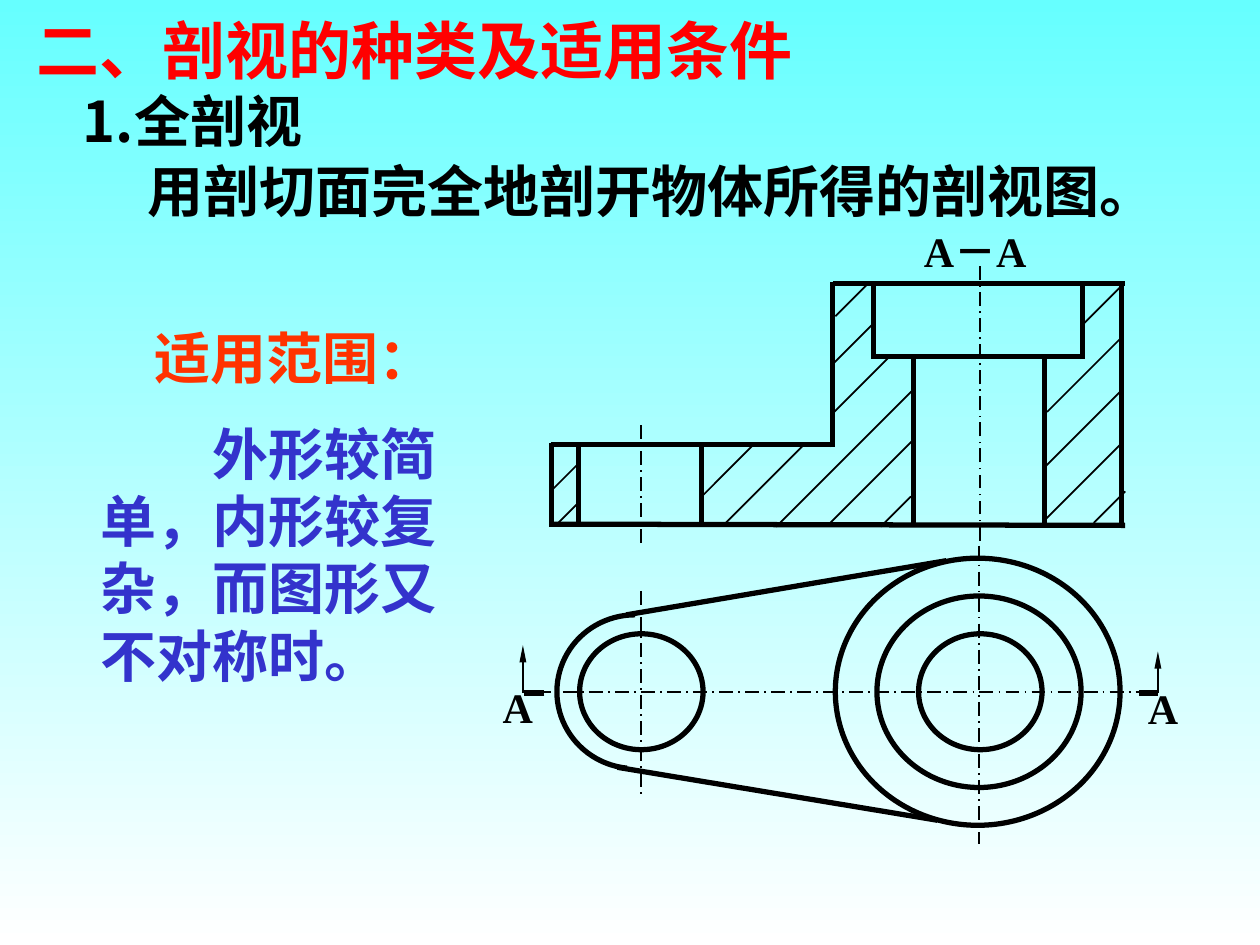
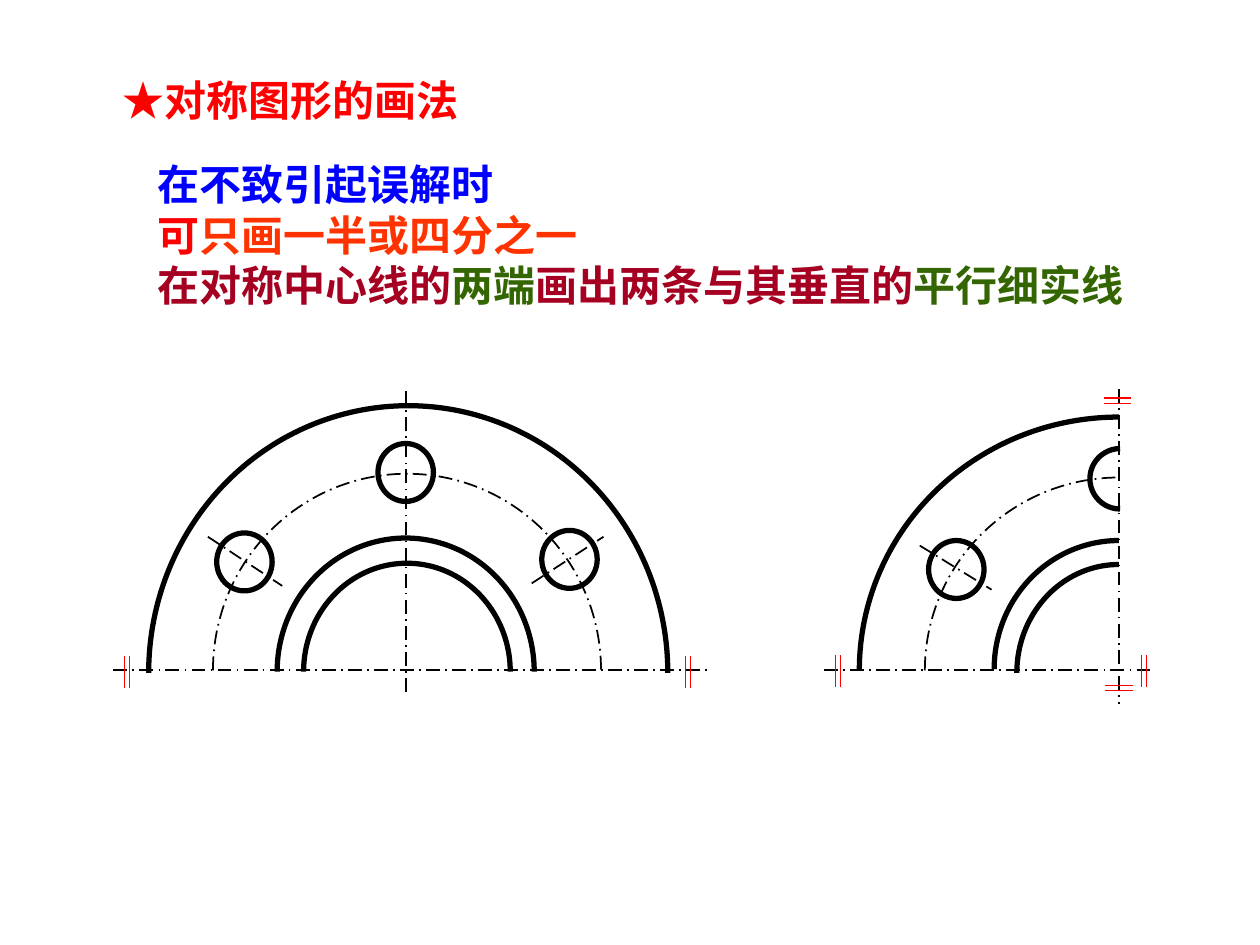
from lxml.etree import SubElement
from pptx import Presentation
from pptx.dml.color import RGBColor
from pptx.enum.dml import MSO_LINE
from pptx.enum.shapes import MSO_CONNECTOR, MSO_SHAPE
from pptx.enum.text import MSO_ANCHOR, PP_ALIGN
from pptx.oxml.ns import qn
from pptx.util import Cm, Pt

CM_PER_INCH = 2.54
CHINESE_FONT = "Noto Sans CJK SC"
LATIN_FONT = "Times New Roman"
LINE_PITCH = 1.2

BLACK = RGBColor(0x00, 0x00, 0x00)
WHITE = RGBColor(0xFF, 0xFF, 0xFF)
CYAN = RGBColor(0x66, 0xFF, 0xFF)
RED = RGBColor(0xFF, 0x00, 0x00)
ORANGE = RGBColor(0xFF, 0x33, 0x00)
VIOLET = RGBColor(0x33, 0x33, 0xCC)
BLUE = RGBColor(0x00, 0x00, 0xFF)
CRIMSON = RGBColor(0xA5, 0x00, 0x21)
GREEN = RGBColor(0x33, 0x66, 0x00)

# Line styles of a technical drawing
OUTLINE = {"width": Pt(3)}
THIN = {"width": Pt(1)}
CENTRE = {"width": Pt(1), "dash_style": MSO_LINE.LONG_DASH_DOT}
MARK = {"width": Pt(0.75)}
ARROWHEAD = {"type": "triangle", "w": "sm", "len": "lg"}

# All positions and sizes below are in inches; length() turns them into Cm.
# Texts: box (left, top, width, height), paragraphs of (text, colour) runs, format
FULL_SECTION_TEXTS = [
    ((0.19, 0.04, 6.2, 0.7), [[("二、剖视的种类及适用条件", RED)]],
     {"size": 36, "font": CHINESE_FONT}),
    ((0.56, 0.64, 2, 0.64), [[("1.全剖视", BLACK)]],
     {"font": CHINESE_FONT, "wrap": True}),
    ((1.07, 1.19, 8.21, 0.64), [[("用剖切面完全地剖开物体所得的剖视图。", BLACK)]], {}),
    ((0.7, 3.28, 3.29, 2.24), [[("外形较简单，内形较复杂，而图形又不对称时。", VIOLET)]],
     {"wrap": True, "indent_characters": 2}),
    ((1.13, 2.52, 2.42, 0.64), [[("适用范围：", ORANGE)]], {}),
]
SECTION_LABELS = [
    ((3.89, 5.36, 0.44, 0.5), "A"),
    ((9.01, 5.37, 0.44, 0.5), "A"),
    ((6.99, 1.74, 1.5, 0.5), "A－A"),
]
SYMMETRY_TEXTS = [
    ((0.87, 0.54, 5.22, 0.5), [[("★对称图形的画法", RED)]], {"size": 24, "wrap": True}),
    ((1.15, 1.21, 8.28, 1.3), [
        [("在不致引起误解时", BLUE)],
        [("可", RED), ("只画一半或四分之一", ORANGE)],
        [("在对称中心线的", CRIMSON), ("两端", GREEN),
         ("画出两条与其垂直的", CRIMSON), ("平行细实线", GREEN)],
    ], {"size": 24, "font": CHINESE_FONT, "wrap": True}),
]

# Full section: lines are (x1, y1, x2, y2)
SECTION_CENTRE_LINES = [
    (4.26, 5.49, 9.09, 5.49), (7.77, 4.33, 7.77, 6.7), (5.09, 4.69, 5.09, 6.32),
    (7.78, 4.29, 7.78, 2.08), (5.09, 4.31, 5.09, 3.34),
]
SECTION_OUTLINES = [
    # tangents and cutting plane marks of the top view
    (4.97, 4.88, 7.51, 4.45), (4.9, 6.09, 7.44, 6.51),
    (9.04, 5.5, 9.19, 5.5), (4.32, 5.5, 4.16, 5.5),
    # vertical edges of the section
    (8.9, 4.16, 8.9, 2.24), (4.38, 4.18, 4.38, 3.52), (5.57, 4.16, 5.57, 3.54),
    (4.59, 4.18, 4.59, 3.52), (6.93, 2.85, 6.93, 2.24), (8.59, 2.85, 8.59, 2.24),
    (8.29, 4.16, 8.29, 2.85), (7.25, 4.16, 7.25, 2.84), (6.61, 3.55, 6.61, 2.24),
    # horizontal edges of the section
    (6.61, 2.25, 8.93, 2.25), (4.37, 4.16, 8.93, 4.17),
    (4.37, 3.53, 6.61, 3.53), (6.93, 2.83, 8.59, 2.83),
]
VIEW_ARROWS = [(4.15, 5.5, 4.15, 5.12), (9.19, 5.5, 9.19, 5.17)]
# Hatching at 45 degrees: lower left end and horizontal run
HATCHES = [
    (6.61, 3.28, 0.46), (6.99, 4.18, 0.24), (6.59, 4.15, 0.67), (6.16, 4.18, 1.1),
    (5.76, 4.15, 0.62), (6.61, 2.89, 0.32), (6.63, 2.51, 0.27), (5.56, 3.95, 0.43),
    (8.68, 4.15, 0.25), (8.3, 4.12, 0.6), (8.29, 3.71, 0.62), (8.31, 3.27, 0.6),
    (8.6, 2.57, 0.3), (4.39, 3.88, 0.2), (4.43, 4.15, 0.16),
]
# Ellipses are (centre x, centre y, radius x, radius y)
SECTION_CIRCLES = [
    (7.76, 5.49, 1.13, 1.06), (7.77, 5.49, 0.81, 0.76),
    (7.78, 5.49, 0.49, 0.46), (5.09, 5.49, 0.49, 0.46),
]
LOBE = (5.04, 5.49, 0.62, 0.61)

# Symmetric flanges: arcs are (ellipse, start angle, end angle, style)
HALF_FLANGE = {
    "arcs": [
        ((3.24, 5.34, 2.06, 2.12), 180, 0, OUTLINE),
        ((3.23, 5.32, 1.54, 1.56), 180, 0, CENTRE),
        ((3.22, 5.33, 1.02, 1.06), 180, 0, OUTLINE),
        ((3.23, 5.33, 0.82, 0.86), 180, 0, OUTLINE),
    ],
    "holes": [(4.52, 4.44, 0.22, 0.23), (3.22, 3.75, 0.22, 0.23),
              (1.94, 4.46, 0.22, 0.23)],
    "centre lines": [(0.9, 5.32, 5.64, 5.32), (3.22, 5.49, 3.22, 3.07),
                     (4.22, 4.63, 4.79, 4.26), (1.65, 4.26, 2.24, 4.65)],
    "upright marks": [(0.99, 5.21), (5.44, 5.21)],
    "level marks": [],
}
QUARTER_FLANGE = {
    "arcs": [
        ((8.88, 5.32, 2.06, 2.01), 180, 270, OUTLINE),
        ((8.88, 5.32, 1.54, 1.53), 180, 270, CENTRE),
        ((8.88, 5.31, 0.99, 1.02), 180, 270, OUTLINE),
        ((8.88, 5.34, 0.81, 0.86), 180, 270, OUTLINE),
        ((8.89, 3.8, 0.24, 0.24), 90, 270, OUTLINE),
    ],
    "holes": [(7.59, 4.52, 0.22, 0.23)],
    "centre lines": [(8.88, 3.09, 8.88, 5.59), (6.54, 5.32, 9.17, 5.32),
                     (7.3, 4.33, 7.87, 4.68)],
    "upright marks": [(6.63, 5.2), (9.06, 5.2)],
    "level marks": [(8.76, 3.16), (8.77, 5.44)],
}
MARK_GAP = 0.04
UPRIGHT_LENGTH = 0.25
LEVEL_LENGTH = 0.22


def length(inches):
    return Cm(inches * CM_PER_INCH)


def apply(target, values):
    for name, value in values.items():
        setattr(target, name, value)


def add_text(shapes, box, paragraphs, size=32, font=LATIN_FONT, wrap=False,
             align=PP_ALIGN.LEFT, indent_characters=0):
    frame = shapes.add_textbox(*map(length, box)).text_frame
    apply(frame, {
        "word_wrap": wrap, "vertical_anchor": MSO_ANCHOR.TOP,
        "margin_left": length(0.1), "margin_right": length(0.1),
        "margin_top": length(0.05), "margin_bottom": length(0.05),
    })
    for index, runs in enumerate(paragraphs):
        paragraph = frame.add_paragraph() if index else frame.paragraphs[0]
        apply(paragraph, {"alignment": align, "line_spacing": Pt(size * LINE_PITCH)})
        if indent_characters:
            indent = Pt(size * indent_characters)
            paragraph._p.get_or_add_pPr().set("indent", str(indent))
        for text, colour in runs:
            run = paragraph.add_run()
            run.text = text
            apply(run.font, {"name": font, "size": Pt(size), "bold": True})
            run.font.color.rgb = colour
            east_asian = SubElement(run.font._element, qn("a:ea"))
            east_asian.set("typeface", CHINESE_FONT)


def set_line(shape, style, colour=BLACK):
    shape.line.color.rgb = colour
    apply(shape.line, style)


def add_line(shapes, ends, style, colour=BLACK, arrow=False):
    line = shapes.add_connector(MSO_CONNECTOR.STRAIGHT, *map(length, ends))
    set_line(line, style, colour)
    if arrow:
        SubElement(line.line._get_or_add_ln(), qn("a:tailEnd"), ARROWHEAD)
    SubElement(line._element.spPr, qn("a:effectLst"))


def add_round(shapes, ellipse, style, angles=None):
    """Draw a full ellipse, or an arc clockwise between two angles in degrees."""
    x, y, radius_x, radius_y = ellipse
    kind = MSO_SHAPE.ARC if angles else MSO_SHAPE.OVAL
    box = (x - radius_x, y - radius_y, 2 * radius_x, 2 * radius_y)
    shape = shapes.add_shape(kind, *map(length, box))
    shape.shadow.inherit = False
    shape.fill.background()
    set_line(shape, style)
    for index, angle in enumerate(angles or ()):
        shape.adjustments[index] = angle * 0.6  # 60000 units per degree, scaled by 100000


def add_symmetry_marks(shapes, flange):
    for offset in (0, MARK_GAP):
        for x, y in flange["upright marks"]:
            add_line(shapes, (x + offset, y, x + offset, y + UPRIGHT_LENGTH), MARK, RED)
        for x, y in flange["level marks"]:
            add_line(shapes, (x, y + offset, x + LEVEL_LENGTH, y + offset), MARK, RED)


def build_full_section(slide):
    # Background and texts
    fill = slide.background.fill
    fill.gradient()
    fill.gradient_angle = 270
    for stop, colour in zip(fill.gradient_stops, (CYAN, WHITE)):
        stop.color.rgb = colour
    for box, paragraphs, text_format in FULL_SECTION_TEXTS:
        add_text(slide.shapes, box, paragraphs, **text_format)

    # Section and top view
    drawing = slide.shapes.add_group_shape().shapes
    for ends in SECTION_CENTRE_LINES:
        add_line(drawing, ends, CENTRE)
    for circle in SECTION_CIRCLES:
        add_round(drawing, circle, OUTLINE)
    add_round(drawing, LOBE, OUTLINE, (96, 270))
    for x, y, run in HATCHES:
        add_line(drawing, (x, y, x + run, y - run), THIN)
    for ends in SECTION_OUTLINES:
        add_line(drawing, ends, OUTLINE)
    for ends in VIEW_ARROWS:
        add_line(drawing, ends, MARK, arrow=True)
    for box, label in SECTION_LABELS:
        add_text(drawing, box, [[(label, BLACK)]], size=24, align=PP_ALIGN.CENTER)


def build_symmetry(slide):
    slide.background.fill.solid()
    slide.background.fill.fore_color.rgb = WHITE
    for flange in (HALF_FLANGE, QUARTER_FLANGE):
        drawing = slide.shapes.add_group_shape().shapes
        for ellipse, start, end, style in flange["arcs"]:
            add_round(drawing, ellipse, style, (start, end))
        for hole in flange["holes"]:
            add_round(drawing, hole, OUTLINE)
        for ends in flange["centre lines"]:
            add_line(drawing, ends, CENTRE)
        add_symmetry_marks(drawing, flange)
    for box, paragraphs, text_format in SYMMETRY_TEXTS:
        add_text(slide.shapes, box, paragraphs, **text_format)


def main():
    presentation = Presentation()
    apply(presentation, {"slide_width": Cm(25.4), "slide_height": Cm(19.05)})
    blank = presentation.slide_layouts[6]
    for build in (build_full_section, build_symmetry):
        build(presentation.slides.add_slide(blank))
    presentation.save("out.pptx")


if __name__ == "__main__":
    main()
